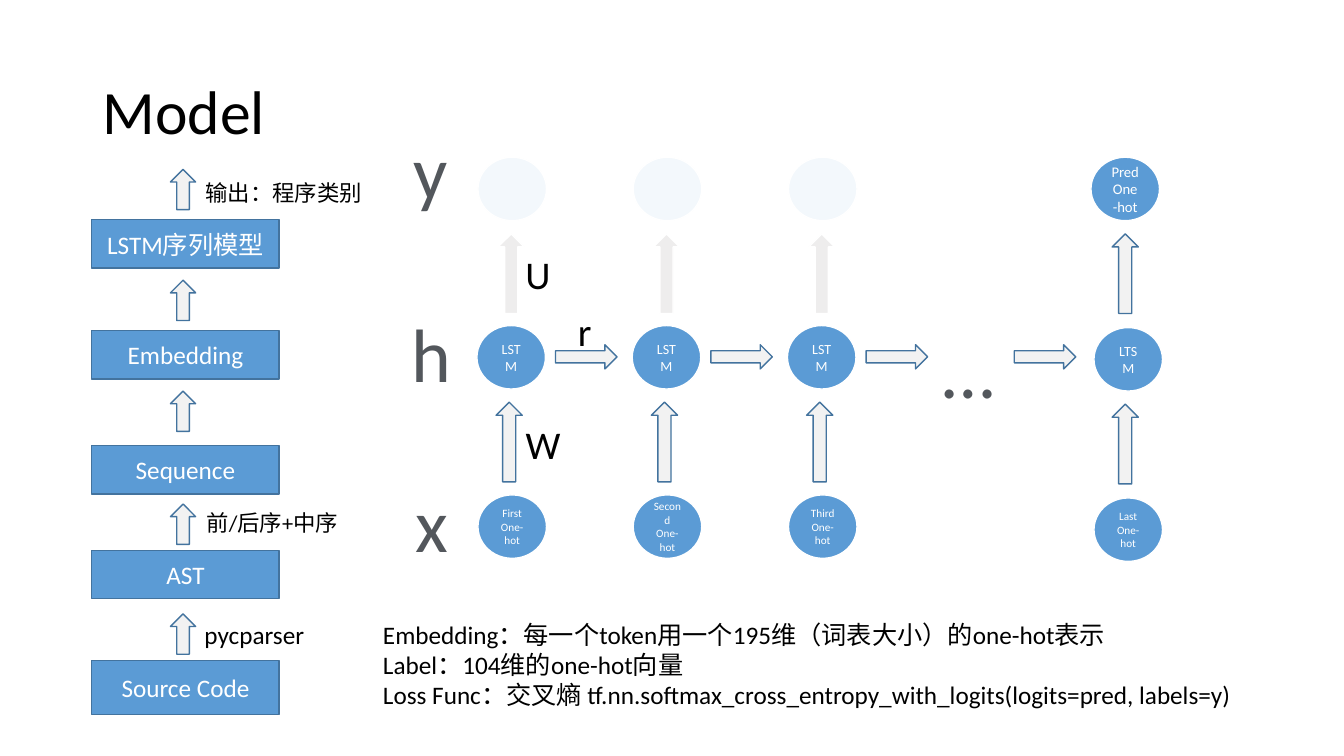
from lxml.etree import SubElement
from pptx import Presentation
from pptx.dml.color import RGBColor
from pptx.enum.shapes import MSO_SHAPE as Shape
from pptx.enum.text import MSO_ANCHOR as Anchor, MSO_AUTO_SIZE as AutoSize, PP_ALIGN as Align
from pptx.oxml.ns import qn
from pptx.util import Emu, Pt

PX = 9144  # 100 px to the inch
FONT = "Calibri"
COLORS = {
    "node": "5B9BD5", "outline": "43739E", "arrow": "F2F2F2",
    "faded_node": "DEEBF7", "faded_arrow": "D0CECE",
    "white": "FFFFFF", "black": "000000",
    "letter_dark": "53575C", "letter_light": "C5C7CA",
}
FADED_ALPHA = 35

# Unrolled network: three regular steps, then the last one
STEP_GAP = 154
FIRST_INPUTS = ["First\nOne-hot", "Second One-hot", "Third One-hot"]
LAST_LEFT = 1085

# Pipeline on the left, from top to bottom: label, top, height
STAGES = [
    ("LSTM序列模型", 218, 48),
    ("Embedding", 328, 48),
    ("Sequence", 442, 48),
    ("AST", 546, 48),
    ("Source Code", 655, 54),
]
STAGE_ARROW_TOPS = [168, 278, 388, 500, 609]


def rgb(name):
    return RGBColor.from_string(COLORS[name])


def box(left, top, width, height):
    return [Emu(length * PX) for length in (left, top, width, height)]


def write(frame, text, size, color="black", align=Align.LEFT):
    frame.text = text
    for paragraph in frame.paragraphs:
        paragraph.alignment = align
        for run in paragraph.runs:
            run.font.name = FONT
            run.font.size = Pt(size)
            run.font.color.rgb = rgb(color)


def add_figure(slide, kind, place, fill, line, alpha=None):
    figure = slide.shapes.add_shape(kind, *box(*place))
    figure.shadow.inherit = False
    figure.fill.solid()
    figure.fill.fore_color.rgb = rgb(fill)
    figure.line.color.rgb = rgb(line)
    figure.line.width = Pt(1)
    if alpha:
        fill_color = figure.fill._xPr.find(qn("a:solidFill"))[0]
        SubElement(fill_color, qn("a:alpha"), val=str(alpha * 1000))
    return figure


def add_stage(slide, label, top, height):
    stage = add_figure(slide, Shape.RECTANGLE, (91, top, 186, height), "node", "outline")
    stage.text_frame.vertical_anchor = Anchor.MIDDLE
    write(stage.text_frame, label, 18, "white", Align.CENTER)


def add_node(slide, left, top, label="", size=10):
    place = (left, top, 68, 63)
    if not label:
        add_figure(slide, Shape.FLOWCHART_CONNECTOR, place, "faded_node", "white", FADED_ALPHA)
        return
    node = add_figure(slide, Shape.FLOWCHART_CONNECTOR, place, "node", "white")
    node.text_frame.vertical_anchor = Anchor.MIDDLE
    write(node.text_frame, label, size, "white", Align.CENTER)


def add_up_arrow(slide, left, top, width=26, height=79, faded=False):
    place = (left, top, width, height)
    if faded:
        arrow = add_figure(slide, Shape.DOWN_ARROW, place, "faded_arrow", "white", FADED_ALPHA)
    else:
        arrow = add_figure(slide, Shape.DOWN_ARROW, place, "arrow", "outline")
    arrow.rotation = 180


def add_right_arrow(slide, left):
    add_figure(slide, Shape.RIGHT_ARROW, (left, 342, 61, 24), "arrow", "outline")


def add_text(slide, text, place, size, wrap=True, align=Align.LEFT):
    frame = slide.shapes.add_textbox(*box(*place)).text_frame
    frame.word_wrap = wrap
    frame.auto_size = AutoSize.SHAPE_TO_FIT_TEXT
    write(frame, text, size, align=align)
    return frame


def add_weight(slide, letter, left, top, width):
    add_text(slide, letter, (left, top, width, 57), 28, False, Align.CENTER)


def add_layer_letter(slide, letter, left, top, width):
    frame = add_text(slide, letter, (left, top, width, 101), 54, False, Align.CENTER)
    fill = frame.paragraphs[0].runs[0].font.fill
    fill.gradient()
    fill.gradient_angle = 270
    stops = zip(fill.gradient_stops, (0.21, 0.88), ("letter_dark", "letter_light"))
    for stop, position, color in stops:
        stop.position = position
        stop.color.rgb = rgb(color)


def add_title(slide, text):
    title = slide.shapes.title
    title.left, title.top, title.width, title.height = box(92, 41, 1150, 145)
    title.text_frame.vertical_anchor = Anchor.MIDDLE
    write(title.text_frame, text, 44)
    title.text_frame.paragraphs[0].line_spacing = 0.9


def add_pipeline(slide):
    for label, top, height in STAGES:
        add_stage(slide, label, top, height)
    for top in STAGE_ARROW_TOPS:
        add_up_arrow(slide, 169, top, 25, 40)
    add_text(slide, "输出：程序类别", (194, 173, 179, 37), 16)
    add_text(slide, "前/后序+中序", (195, 500, 176, 37), 16)
    add_text(slide, "pycparser", (193, 609, 120, 40), 18)


def add_network(slide):
    # Regular time steps, whose outputs are unused
    for index, input_label in enumerate(FIRST_INPUTS):
        shift = index * STEP_GAP
        add_node(slide, 474 + shift, 156)
        add_up_arrow(slide, 494 + shift, 232, faded=True)
        add_node(slide, 473 + shift, 323, "LSTM")
        add_up_arrow(slide, 492 + shift, 399)
        add_node(slide, 474 + shift, 491, input_label, 8)
        add_right_arrow(slide, 551 + shift)

    # Last time step, which gives the prediction
    add_right_arrow(slide, 1006)
    add_node(slide, LAST_LEFT - 3, 156, "Pred\nOne-hot", 10.5)
    add_up_arrow(slide, LAST_LEFT + 18, 232)
    add_node(slide, LAST_LEFT, 325, "LTSM")
    add_up_arrow(slide, LAST_LEFT + 18, 401)
    add_node(slide, LAST_LEFT, 494, "Last\nOne-hot", 8)

    # Layer letters and weights
    add_layer_letter(slide, "y", 400, 118, 55)
    add_layer_letter(slide, "h", 398, 300, 60)
    add_layer_letter(slide, "x", 402, 468, 53)
    add_layer_letter(slide, "…", 925, 315, 72)
    add_weight(slide, "U", 511, 243, 45)
    add_weight(slide, "r", 563, 300, 34)
    add_weight(slide, "W", 511, 412, 55)


def main():
    deck = Presentation()
    deck.slide_width, deck.slide_height = Emu(1333 * PX), Emu(750 * PX)
    slide = deck.slides.add_slide(deck.slide_layouts[5])
    add_title(slide, "Model")
    add_pipeline(slide)
    add_network(slide)
    # Training notes
    add_text(slide, "Embedding：每一个token用一个195维（词表大小）的one-hot表示\n"
                    "Label：104维的one-hot向量\n"
                    "Loss Func：交叉熵 tf.nn.softmax_cross_entropy_with_logits"
                    "(logits=pred, labels=y)", (370, 609, 871, 101), 18)
    deck.save("out.pptx")


if __name__ == "__main__":
    main()
